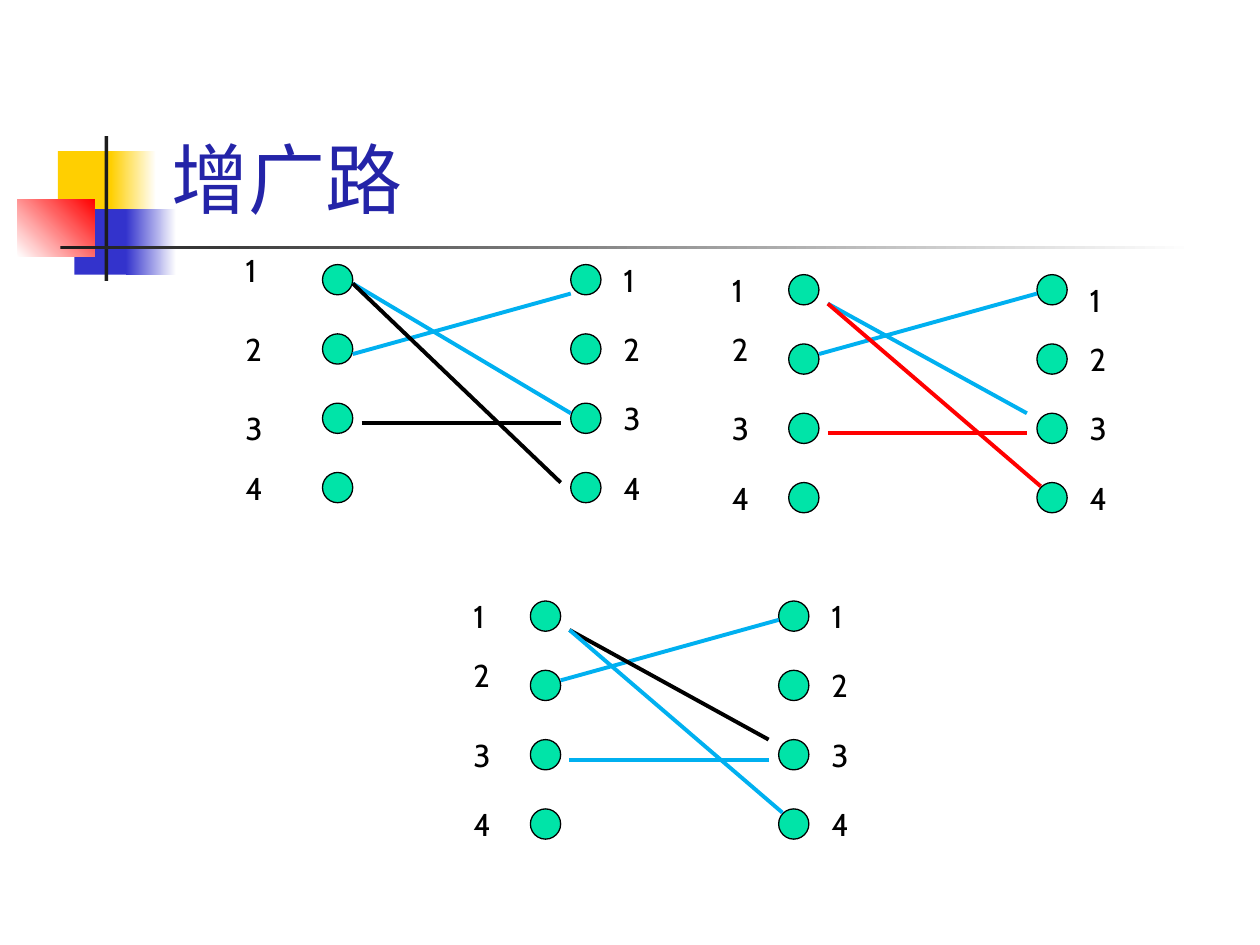
from dataclasses import dataclass

from lxml import etree
from pptx import Presentation
from pptx import util as u
from pptx.dml.color import RGBColor
from pptx.enum import shapes, text
from pptx.oxml import ns


@dataclass(frozen=True)
class Theme:
    font: str = "Cabin"
    title_size: int = 44
    label_size: int = 18
    node_line: float = 0.75
    edge_line: float = 2.25
    title: str = "2424A8"
    black: str = "000000"
    white: str = "FFFFFF"
    dark: str = "1C1C1C"
    yellow: str = "FFCF01"
    indigo: str = "3333CC"
    red: str = "FF0000"
    blue: str = "00B0F0"
    node: str = "00E4A8"


THEME = Theme()
PITCH = 0.55
NODE_SIZE = 0.24
COLUMN_GAP = 1.97
RIGHT_LABEL = 2.29

TWO_TO_ONE = (0.24, 0.63, 1.97, 0.15)
THREE_TO_THREE = (0.31, 1.26, 1.89, 1.26)
ONE_TO_THREE = (0.31, 0.23, 1.89, 1.1)
ONE_TO_FOUR = (0.31, 0.23, 2, 1.68)

EVEN = (-0.08, -0.08, -0.08, -0.08)
RAISED_SECOND = (-0.08, -0.16, -0.08, -0.08)

GRAPHS = [
    dict(left=2.56, top=2.1, left_label=-0.71,
         left_shifts=(-0.16, -0.08, 0, -0.08), right_shifts=EVEN,
         edges=[((0.24, 0.15, 1.97, 1.18), THEME.blue),
                ((0.24, 0.71, 1.97, 0.23), THEME.blue),
                ((0.24, 0.15, 1.89, 1.73), THEME.black),
                (THREE_TO_THREE, THEME.black)]),
    dict(left=6.26, top=2.18, left_label=-0.55,
         left_shifts=RAISED_SECOND, right_shifts=(0, -0.08, -0.08, -0.08),
         edges=[(TWO_TO_ONE, THEME.blue), (THREE_TO_THREE, THEME.red),
                (ONE_TO_THREE, THEME.blue), (ONE_TO_FOUR, THEME.red)]),
    dict(left=4.21, top=4.77, left_label=-0.55,
         left_shifts=RAISED_SECOND, right_shifts=EVEN,
         edges=[(TWO_TO_ONE, THEME.blue), (THREE_TO_THREE, THEME.blue),
                (ONE_TO_THREE, THEME.black), (ONE_TO_FOUR, THEME.blue)]),
]


def color(value):
    return RGBColor.from_string(value)


def write_text(frame, content, *, size, fill, font=THEME.font, anchor=text.MSO_ANCHOR.TOP):
    frame.word_wrap = True
    frame.vertical_anchor = anchor
    paragraph = frame.paragraphs[0]
    run = paragraph.add_run()
    run.text = content
    run.font.name = font
    run.font.size = u.Pt(size)
    run.font.color.rgb = color(fill)


class SlideBuilder:
    def __init__(self, slide, theme):
        self.slide = slide
        self.theme = theme

    def shape(self, kind, left, top, width, height):
        shape = self.slide.shapes.add_shape(
            kind, u.Inches(left), u.Inches(top), u.Inches(width), u.Inches(height))
        shape.shadow.inherit = False
        return shape

    def block(self, left, top, width, height, start, end=None, angle=0):
        shape = self.shape(shapes.MSO_SHAPE.RECTANGLE, left, top, width, height)
        shape.line.fill.background()
        if end is None:
            shape.fill.solid()
            shape.fill.fore_color.rgb = color(start)
            return
        shape.fill.gradient()
        shape.fill.gradient_angle = angle
        for stop, position, value in zip(shape.fill.gradient_stops, (0, 1), (start, end)):
            stop.position = position
            stop.color.rgb = color(value)

    def node(self, left, top):
        shape = self.shape(shapes.MSO_SHAPE.OVAL, left, top, NODE_SIZE, NODE_SIZE)
        shape.fill.solid()
        shape.fill.fore_color.rgb = color(self.theme.node)
        shape.line.color.rgb = color(self.theme.black)
        shape.line.width = u.Pt(self.theme.node_line)

    def edge(self, points, fill):
        connector = self.slide.shapes.add_connector(
            shapes.MSO_CONNECTOR.STRAIGHT, *[u.Inches(point) for point in points])
        connector.line.color.rgb = color(fill)
        connector.line.width = u.Pt(self.theme.edge_line)
        etree.SubElement(connector._element.spPr, ns.qn("a:effectLst"))

    def text_box(self, content, left, top, width, height, **format):
        box = self.slide.shapes.add_textbox(
            u.Inches(left), u.Inches(top), u.Inches(width), u.Inches(height))
        write_text(box.text_frame, content, **format)

    def label(self, content, left, top):
        self.text_box(content, left, top, 0.47, 0.4,
                      size=self.theme.label_size, fill=self.theme.black)

    def graph(self, left, top, left_label, left_shifts, right_shifts, edges):
        columns = ((0, left_label, left_shifts), (COLUMN_GAP, RIGHT_LABEL, right_shifts))
        for node_offset, label_offset, shifts in columns:
            for row, shift in enumerate(shifts):
                row_top = top + row * PITCH
                self.node(left + node_offset, row_top)
                self.label(str(row + 1), left + label_offset, row_top + shift)
        for (x1, y1, x2, y2), fill in edges:
            self.edge((left + x1, top + y1, left + x2, top + y2), fill)

    def decoration(self):
        theme = self.theme
        self.block(0.46, 1.2, 0.48, 0.52, theme.yellow)
        self.block(0.88, 1.2, 0.36, 0.52, theme.yellow, theme.white)
        self.block(0.59, 1.66, 0.46, 0.52, theme.indigo)
        self.block(1, 1.66, 0.4, 0.52, theme.indigo, theme.white)
        self.block(0.14, 1.58, 0.61, 0.46, theme.white, theme.red, angle=45)
        self.block(0.83, 1.08, 0.03, 1.15, theme.dark)
        self.block(0.48, 1.95, 9, 0.03, theme.dark, theme.white)


def main():
    presentation = Presentation()
    presentation.slide_width = u.Inches(10)
    presentation.slide_height = u.Inches(7.5)
    slide = presentation.slides.add_slide(presentation.slide_layouts[6])
    builder = SlideBuilder(slide, THEME)
    builder.decoration()
    builder.text_box("增广路", 1.26, 0.23, 8.52, 1.6, size=THEME.title_size,
                     fill=THEME.title, anchor=text.MSO_ANCHOR.BOTTOM)
    for graph in GRAPHS:
        builder.graph(**graph)
    presentation.save("out.pptx")


if __name__ == "__main__":
    main()
